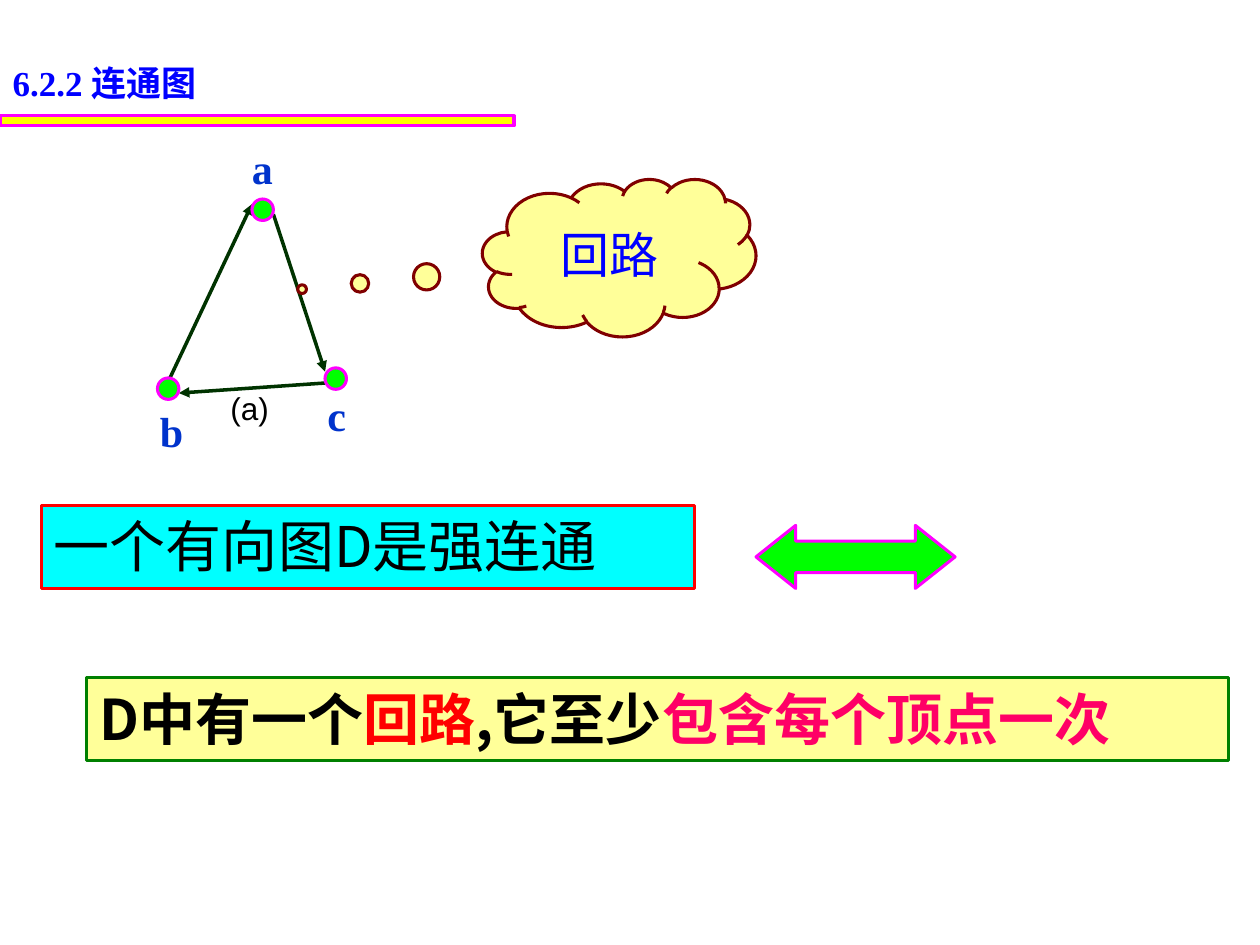
import pptx
import pptx.util
import pptx.dml.color
import pptx.enum.shapes
import pptx.enum.text
import pptx.oxml
import pptx.oxml.ns

Inches = pptx.util.Inches
Pt = pptx.util.Pt
RGB = pptx.dml.color.RGBColor.from_string
MSO = pptx.enum.shapes.MSO_SHAPE
PP = pptx.enum.text.PP_ALIGN
ANCHOR = pptx.enum.text.MSO_ANCHOR

COLORS = {
    "blue": "0000FF", "label": "0033CC", "edge": "003300", "black": "000000",
    "yellow": "FFFF00", "cream": "FFFF99", "magenta": "FF00FF", "lime": "00FF00",
    "maroon": "800000", "cyan": "00FFFF", "red": "FF0000", "green": "008000",
    "pink": "FF0066",
}

prs = pptx.Presentation()
prs.slide_width, prs.slide_height = Inches(10), Inches(7.5)
s = prs.slides.add_slide(prs.slide_layouts[5])


def add_shape(kind, x, y, w, h, fill, line):
    sp = s.shapes.add_shape(kind, Inches(x), Inches(y), Inches(w), Inches(h))
    sp.shadow.inherit = False
    sp.fill.solid()
    sp.fill.fore_color.rgb = RGB(COLORS[fill])
    sp.line.color.rgb = RGB(COLORS[line])
    sp.line.width = Pt(1.75)
    return sp


def write(sp, runs, size, font, bold=False, align=PP.LEFT, anchor=ANCHOR.TOP, wrap=True):
    tf = sp.text_frame
    tf.word_wrap = wrap
    tf.auto_size = pptx.enum.text.MSO_AUTO_SIZE.NONE
    tf.vertical_anchor = anchor
    p = tf.paragraphs[0]
    p.alignment = align
    p.font.size, p.font.name, p.font.bold = Pt(size), font, bold
    for text, color in runs:
        r = p.add_run()
        r.text = text
        r.font.color.rgb = RGB(COLORS[color])
    return p


add_shape(MSO.RECTANGLE, 0, 0.92, 4.08, 0.08, "yellow", "magenta")

title = s.shapes.title
title.left, title.top, title.width, title.height = Inches(0), Inches(0.44), Inches(3.52), Inches(0.43)
p = write(title, [("6.2.2 ", "blue"), ("连通图", "blue")], 20, "Times New Roman", bold=True)
p.runs[1].font.name = "Arial"

for text, x, y, w, h, size, font, color, bold in [
    ("a", 1.9, 1.08, 0.36, 0.5, 24, "Times New Roman", "label", True),
    ("b", 1.17, 3.17, 0.38, 0.5, 24, "Times New Roman", "label", True),
    ("c", 2.5, 3.04, 0.35, 0.5, 24, "Times New Roman", "label", True),
    ("(a)", 1.73, 3.04, 0.5, 0.4, 18, "Arial", "black", False),
]:
    sp = s.shapes.add_textbox(Inches(x), Inches(y), Inches(w), Inches(h))
    write(sp, [(text, color)], size, font, bold, wrap=False)

for x1, y1, x2, y2 in [
    (1.33, 3.04, 2, 1.62),
    (2.58, 3.04, 1.42, 3.12),
    (2.17, 1.7, 2.58, 2.95),
]:
    edge = s.shapes.add_connector(
        pptx.enum.shapes.MSO_CONNECTOR.STRAIGHT, Inches(x1), Inches(y1), Inches(x2), Inches(y2))
    edge.line.color.rgb = RGB(COLORS["edge"])
    edge.line.width = Pt(2)
    tail = pptx.oxml.parse_xml(f'<a:tailEnd {pptx.oxml.ns.nsdecls("a")} type="triangle"/>')
    edge.line._get_or_add_ln().append(tail)
    edge._element.spPr.append(pptx.oxml.parse_xml(f'<a:effectLst {pptx.oxml.ns.nsdecls("a")}/>'))

for x, y in [(2, 1.58), (2.58, 2.92), (1.25, 3)]:
    add_shape(MSO.OVAL, x, y, 0.17, 0.17, "lime", "magenta")

cloud = add_shape(MSO.CLOUD_CALLOUT, 3.83, 1.42, 2.17, 1.25, "cream", "maroon")
cloud.adjustments[0], cloud.adjustments[1] = -1.16, 0.2
write(cloud, [("回路", "blue")], 28, "Arial", align=PP.CENTER, anchor=ANCHOR.MIDDLE)

claim = add_shape(MSO.RECTANGLE, 0.33, 4.01, 5.18, 0.66, "cyan", "red")
write(claim, [("一个有向图D是强连通", "black")], 32, "Noto Sans CJK JP")

arrow = add_shape(MSO.LEFT_RIGHT_ARROW, 6, 4.17, 1.58, 0.5, "lime", "magenta")
arrow.adjustments[0], arrow.adjustments[1] = 0.5, 0.63

condition = add_shape(MSO.RECTANGLE, 0.69, 5.38, 9.06, 0.66, "cream", "green")
write(condition, [("D中有一个", "black"), ("回路", "red"), (",它至少".replace(",", ","), "black"),
                  ("包含每个顶点一次", "pink")], 32, "Noto Sans CJK JP", bold=True)

prs.save("out.pptx")
